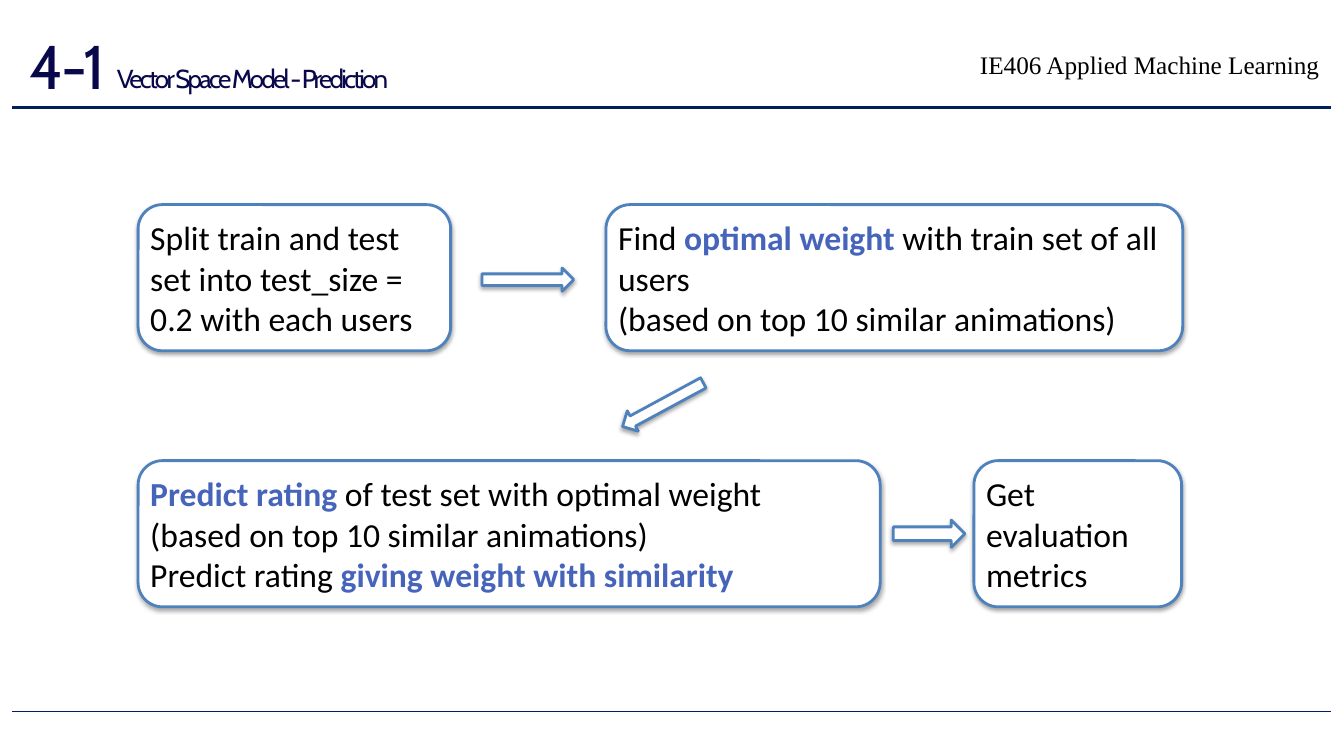
from lxml import etree
from pptx import Presentation
from pptx import util as u
from pptx.dml.color import RGBColor
from pptx.enum import shapes, text
from pptx.oxml import parse_xml
from pptx.oxml.ns import nsdecls, qn

COLORS = {"navy": "001F5F", "title": "08084A", "outline": "4F81BD",
          "accent": "4664BA", "black": "000000", "white": "FFFFFF"}
SHADOW = (f'<a:effectLst {nsdecls("a")}><a:outerShdw blurRad="38100" dist="22860" '
          'dir="5400000" rotWithShape="0"><a:srgbClr val="000000">'
          '<a:alpha val="35000"/></a:srgbClr></a:outerShdw></a:effectLst>')


def write(shape, paragraphs, size=24, font="Calibri", color="black", inset=0.05,
          wrap=True, anchor="TOP", before=0, spacing=None, baseline=None):
    """Fill a shape with paragraphs, each a list of (text, is_accent) runs."""
    frame = shape.text_frame
    frame.word_wrap = wrap
    frame.auto_size = text.MSO_AUTO_SIZE.SHAPE_TO_FIT_TEXT
    frame.vertical_anchor = getattr(text.MSO_ANCHOR, anchor)
    frame.margin_left = frame.margin_right = u.Inches(inset)
    frame.margin_top = frame.margin_bottom = u.Inches(inset)
    for index, runs in enumerate(paragraphs):
        paragraph = frame.add_paragraph() if index else frame.paragraphs[0]
        paragraph.alignment = text.PP_ALIGN.LEFT
        paragraph.space_before = u.Pt(before)
        for words, is_accent in runs:
            run = paragraph.add_run()
            run.text = words
            run.font.size, run.font.name, run.font.bold = u.Pt(size), font, is_accent
            run.font.color.rgb = RGBColor.from_string(COLORS["accent" if is_accent else color])
            properties = run._r.get_or_add_rPr()
            if spacing is not None:
                properties.set("spc", str(spacing))
            if baseline is not None:
                properties.set("baseline", str(baseline))


def add_outlined(kind, left, top, width, height):
    """Add a white preset shape with a blue outline and a soft shadow."""
    shape = slide.shapes.add_shape(kind, *map(u.Inches, (left, top, width, height)))
    shape.fill.solid()
    shape.fill.fore_color.rgb = RGBColor.from_string(COLORS["white"])
    shape.line.color.rgb = RGBColor.from_string(COLORS["outline"])
    shape.line.width = u.Pt(2)
    shape._element.spPr.append(parse_xml(SHADOW))
    return shape


presentation = Presentation()
presentation.slide_width, presentation.slide_height = u.Inches(13.33), u.Inches(7.5)
slide = presentation.slides.add_slide(presentation.slide_layouts[6])

# Footer and header rules
for y, weight in ((7.06, 0.48), (1.07, 2.28)):
    rule = slide.shapes.add_connector(shapes.MSO_CONNECTOR.STRAIGHT, u.Inches(0.12),
                                      u.Inches(y), u.Inches(13.2), u.Inches(y))
    rule.line.color.rgb = RGBColor.from_string(COLORS["navy"])
    rule.line.width = u.Pt(weight)
    etree.SubElement(rule._element.spPr, qn("a:effectLst"))

# Course name, section number and section title
title_format = dict(font="Cabin", color="title", before=1, spacing=-190)
for words, box, style in (
    ("IE406 Applied Machine Learning", (9.67, 0.44, 3.54, 0.4),
     dict(size=18, font="Times New Roman")),
    ("4-1", (0.29, 0.28, 1.07, 0.74), dict(title_format, size=44, inset=0)),
    ("Vector Space Model - Prediction", (1.11, 0.43, 5.17, 0.64),
     dict(title_format, size=32, wrap=False, baseline=11000)),
):
    heading = slide.shapes.add_textbox(*map(u.Inches, box))
    write(heading, [[(words, False)]], **style)

# Process steps on two rows
ROW_TOPS, STEP_HEIGHT = (2.03, 4.57), 1.45
similar_note = [("(based on top 10 similar animations)", False)]
steps = (
    (0, 1.37, 3.1, [[("Split train and test set into test_size = 0.2 with each users", False)]]),
    (0, 6.01, 5.72, [[("Find ", False), ("optimal weight ", True),
                      ("with train set of all users", False)], similar_note]),
    (1, 1.37, 7.36, [[("Predict rating ", True), ("of test set with optimal weight", False)],
                     similar_note,
                     [("Predict rating ", False), ("giving weight with similarity", True)]]),
    (1, 9.66, 2.06, [[("Get evaluation metrics", False)]]),
)
for row, left, width, paragraphs in steps:
    step = add_outlined(shapes.MSO_SHAPE.ROUNDED_RECTANGLE, left, ROW_TOPS[row],
                        width, STEP_HEIGHT)
    write(step, paragraphs, anchor="MIDDLE")

# Arrows between the steps
for left, top, width, height, angle in ((4.78, 2.66, 0.91, 0.23, 0),
                                        (6.12, 3.9, 0.91, 0.23, 151.6),
                                        (8.86, 5.16, 0.71, 0.27, 0)):
    arrow = add_outlined(shapes.MSO_SHAPE.RIGHT_ARROW, left, top, width, height)
    arrow.rotation = angle

presentation.save("out.pptx")
